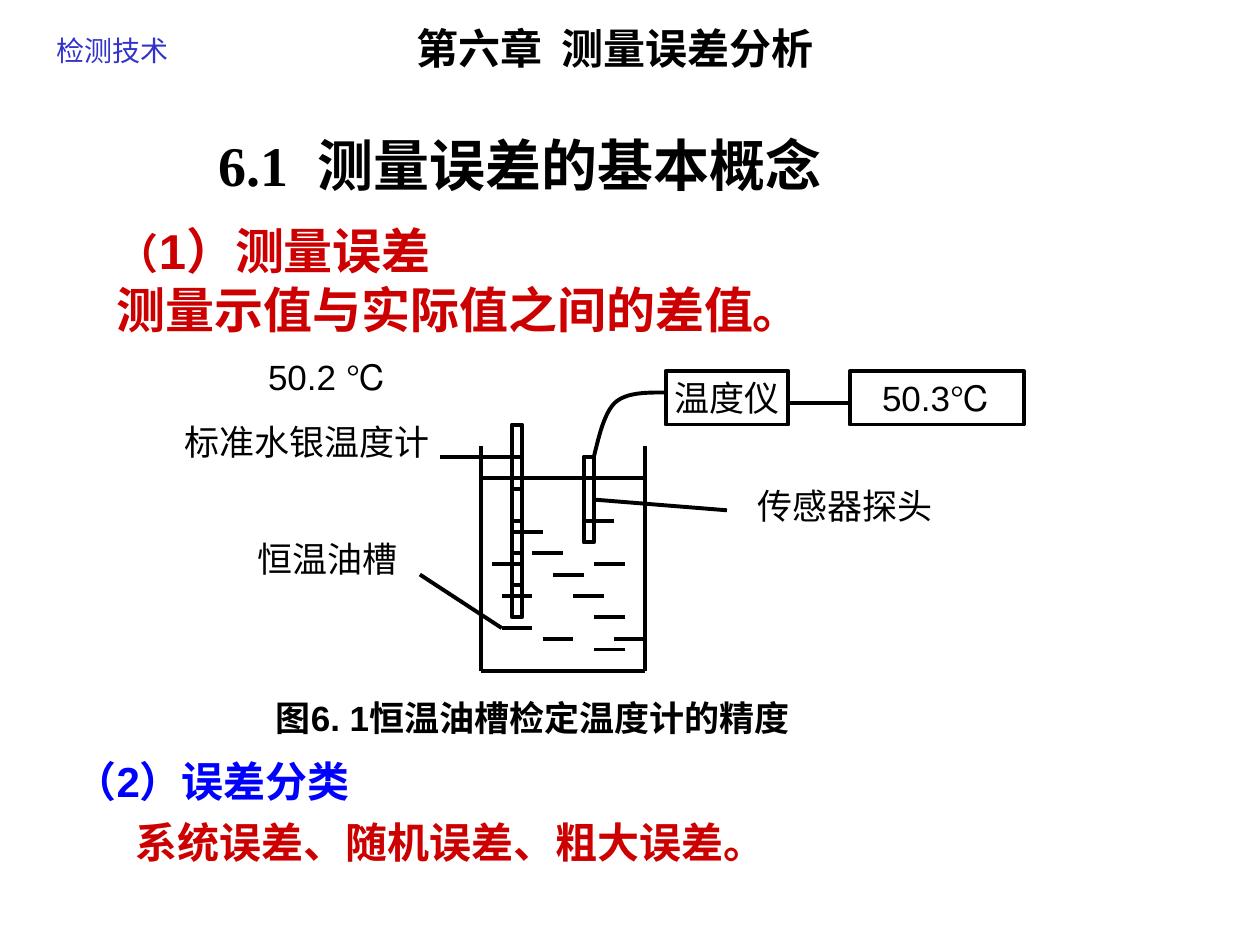
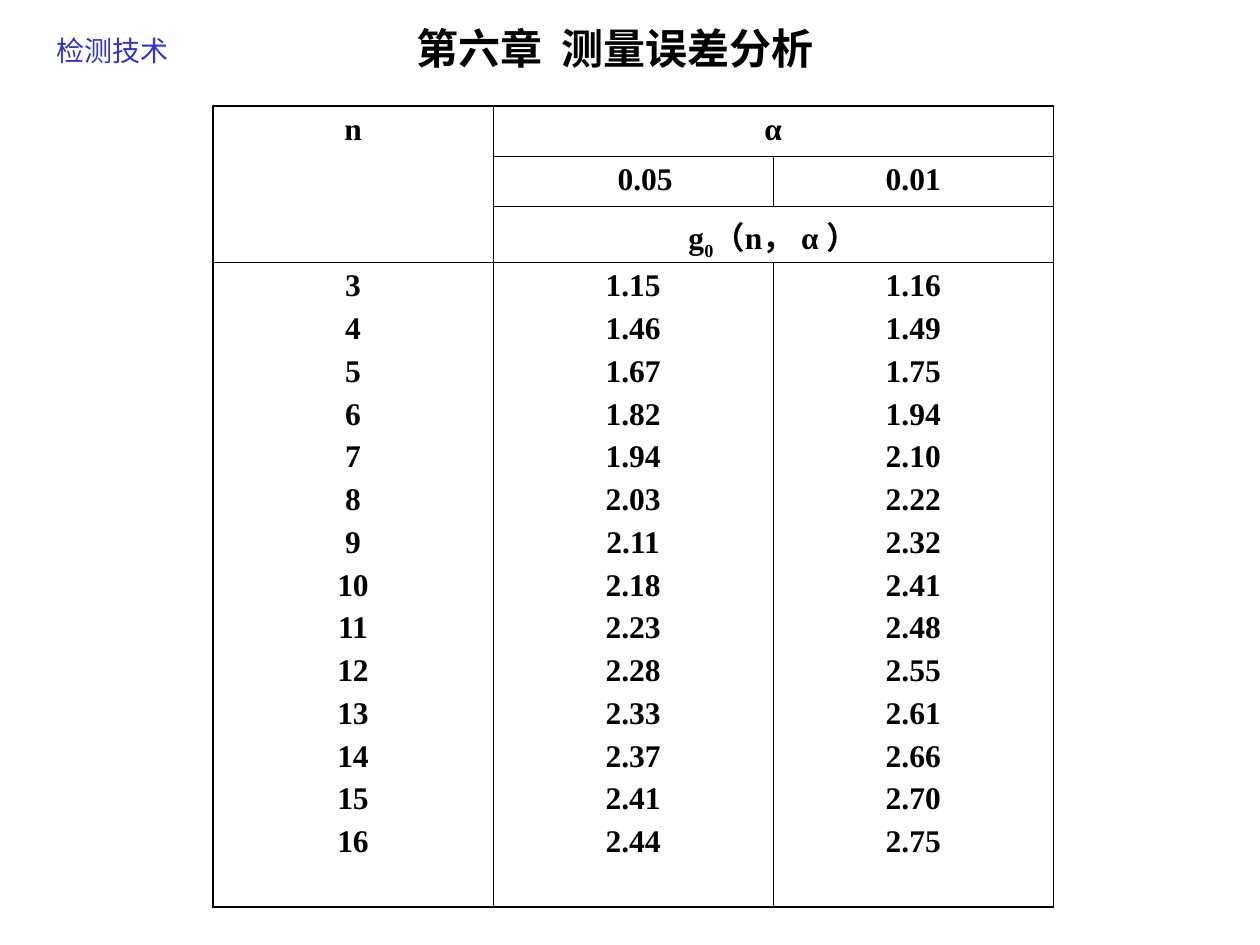
import pptx
import pptx.dml.color
import pptx.enum.shapes
import pptx.enum.text
import pptx.oxml
import pptx.oxml.ns
import pptx.util

INK, RED, BLUE, NAVY = "000000", "CC0000", "0000FF", "3333CC"
SANS, SERIF, HAN = "Arial", "Times New Roman", "Noto Sans CJK JP"
LEFT, MID = pptx.enum.text.PP_ALIGN.LEFT, pptx.enum.text.PP_ALIGN.CENTER
TOP, CORE = pptx.enum.text.MSO_ANCHOR.TOP, pptx.enum.text.MSO_ANCHOR.MIDDLE
RECT = pptx.enum.shapes.MSO_SHAPE.RECTANGLE
STRAIGHT = pptx.enum.shapes.MSO_CONNECTOR.STRAIGHT
PLAIN = "{2D5ABB26-0587-4C30-8999-92F81FD0307C}"
BOLD = 2.25
OUTER, INNER = 1.08, 0.45

# Grids: left, top, column width, row height, in inches.
PAGE = (0, 0, 0.1, 0.1)
RIG = (3.82, 3.37, 1.3 / 16, 1.53 / 18)

DASHES = [(3, 10), (5, 12), (7, 14), (9, 16), (11, 18), (6, 20), (2, 16),
          (10, 9), (11, 13), (11, 21), (2, 19), (1, 13), (13, 20)]
LABELS = [("恒温油槽", -27, 10, 24), ("标准水银温度计", -33, -1, 32),
          ("传感器探头", 21, 5, 29), ("50.2 ℃", -31, -7, 32)]
LIMITS = [
    (3, "1.15", "1.16"), (4, "1.46", "1.49"), (5, "1.67", "1.75"),
    (6, "1.82", "1.94"), (7, "1.94", "2.10"), (8, "2.03", "2.22"),
    (9, "2.11", "2.32"), (10, "2.18", "2.41"), (11, "2.23", "2.48"),
    (12, "2.28", "2.55"), (13, "2.33", "2.61"), (14, "2.37", "2.66"),
    (15, "2.41", "2.70"), (16, "2.44", "2.75")]


def tint(code):
    return pptx.dml.color.RGBColor.from_string(code)


def inch(size):
    return pptx.util.Inches(size)


def write(frame, *paras, size=20, color=INK, bold=False, font=SANS,
          align=LEFT, gap=0):
    """Fill a frame; a paragraph is a string or a list of (text, format) runs."""
    for i, para in enumerate(paras):
        p = frame.add_paragraph() if i else frame.paragraphs[0]
        p.alignment = align
        if i and gap:
            p.space_before = pptx.util.Pt(gap)
        runs = [(para, {})] if isinstance(para, str) else para
        for text, extra in runs:
            run = p.add_run()
            run.text = text
            face = run.font
            face.size = pptx.util.Pt(extra.get("size", size))
            face.bold, face.name = bold, font
            face.color.rgb = tint(color)
            props = run._r.get_or_add_rPr()
            if "base" in extra:
                props.set("baseline", str(extra["base"] * 1000))
            east = props.makeelement(pptx.oxml.ns.qn("a:ea"), {"typeface": HAN})
            props.append(east)


def curve(a, b, c, d, steps=12):
    """Points along a cubic Bezier, without its start."""
    for i in range(1, steps + 1):
        t = i / steps
        u = 1 - t
        yield tuple(u**3 * p + 3 * u * u * t * q + 3 * u * t * t * r + t**3 * s
                    for p, q, r, s in zip(a, b, c, d))


class Deck:
    def __init__(self):
        self.prs = pptx.Presentation()
        self.prs.slide_width, self.prs.slide_height = inch(10), inch(7.5)
        self.grid = PAGE

    def page(self):
        self.grid = PAGE
        self.slide = self.prs.slides.add_slide(self.prs.slide_layouts[6])
        self.shapes = self.slide.shapes
        self.text("检测技术", 3.5, 1.9, 23.6, 4.2, anchor=CORE,
                  size=16, color=NAVY, font=HAN)
        self.text("第六章  测量误差分析", 32.1, 1.3, 33.5, 5, wrap=False,
                  size=24, bold=True)

    def at(self, col, row):
        x, y, wide, high = self.grid
        return inch(x + col * wide), inch(y + row * high)

    def box(self, col, row, cols, rows):
        wide, high = self.grid[2:]
        return *self.at(col, row), inch(cols * wide), inch(rows * high)

    def text(self, paras, *place, anchor=TOP, wrap=True, **style):
        frame = self.shapes.add_textbox(*self.box(*place)).text_frame
        frame.word_wrap, frame.vertical_anchor = wrap, anchor
        write(frame, *([paras] if isinstance(paras, str) else paras), **style)

    def trim(self, shape):
        """Give a closed or free shape the common outline and no fill."""
        shape.shadow.inherit = False
        shape.fill.background()
        shape.line.color.rgb = tint(INK)
        shape.line.width = pptx.util.Pt(BOLD)
        return shape

    def rect(self, *place, text=None):
        shape = self.trim(self.shapes.add_shape(RECT, *self.box(*place)))
        if text:
            frame = shape.text_frame
            frame.word_wrap, frame.vertical_anchor = False, CORE
            write(frame, text, align=MID)
        return shape

    def line(self, a, b, start=None):
        """Draw from a to b, joined at a to the right side of start if given."""
        link = self.shapes.add_connector(STRAIGHT, *self.at(*a), *self.at(*b))
        link.line.color.rgb = tint(INK)
        link.line.width = pptx.util.Pt(BOLD)
        props = link._element.spPr
        props.append(props.makeelement(pptx.oxml.ns.qn("a:effectLst"), {}))
        if start is not None:
            link.begin_connect(start, 3)

    def wire(self, first, *rest):
        pen = self.shapes.build_freeform(*self.at(*first))
        pen.add_line_segments([self.at(*p) for p in rest], close=False)
        self.trim(pen.convert_to_shape())

    def table(self, place, heights, cols):
        frame = self.shapes.add_table(len(heights), cols, *self.box(*place))
        table = frame.table
        table.first_row = table.horz_banding = False
        frame._element.xpath(".//a:tableStyleId")[0].text = PLAIN
        for row, high in zip(table.rows, heights):
            row.height = inch(high)
        return table


def edge(cell, side, width):
    line = pptx.oxml.parse_xml(
        f'<a:ln{side} {pptx.oxml.ns.nsdecls("a")} w="{int(width * 12700)}">'
        f'<a:solidFill><a:srgbClr val="{INK}"/></a:solidFill></a:ln{side}>')
    props = cell._tc.get_or_add_tcPr()
    props.insert(len(props.xpath("./a:lnL|./a:lnR|./a:lnT|./a:lnB")), line)


def rule(table):
    """Draw heavy outer and light inner lines, none inside merged cells."""
    rows, cols = len(table.rows), len(table.columns)
    for r in range(rows):
        for c in range(cols):
            cell = table.cell(r, c)
            cell.fill.background()
            tall, wide = ((cell.span_height, cell.span_width)
                          if cell.is_merge_origin else (1, 1))
            rims = {"L": c == 0, "R": c + wide == cols,
                    "T": r == 0, "B": r + tall == rows}
            for side, rim in rims.items():
                if rim or not cell.is_spanned:
                    edge(cell, side, OUTER if rim else INNER)


def draw_rig(deck):
    deck.grid = RIG
    tank = [((0, 2), (0, 23)), ((16, 2), (16, 23)),
            ((0, 23), (16, 23)), ((0, 5), (16, 5))]
    waves = [((c, r), (c + 3, r)) for c, r in DASHES]
    marks = [((3, r), (4, r)) for r in range(3, 16, 3)]
    leads = [((30, -2), (36, -2)), ((-4, 3), (3, 3)), ((-6, 14), (2, 19))]
    for a, b in tank + waves + marks + leads:
        deck.line(a, b)
    deck.rect(3, 0, 1, 18)
    probe = deck.rect(10, 3, 1, 8)
    deck.line((11, 7), (24, 8), start=probe)
    tip, bend, meter = (11, 3), (13, -2), (18, -3)
    deck.wire(tip, *curve(tip, (11.5, 1), (12, -1), bend),
              *curve(bend, (14.1, -3), (16, -3), meter))
    deck.rect(18, -5, 12, 5, text="温度仪")
    deck.rect(36, -5, 17, 5, text="50.3℃")
    for text, col, row, cols in LABELS:
        deck.text(text, col, row, cols, 5.2, align=MID)
    deck.grid = PAGE


def concepts(deck):
    deck.page()
    deck.text([[("（", {"size": 24}), ("1）测量误差", {})],
               "测量示值与实际值之间的差值。"],
              8.3, 17, 87.4, 10.4, size=28, color=RED, bold=True)
    deck.text("6.1  测量误差的基本概念", 5.1, 9.9, 72.4, 11.7,
              size=32, bold=True, font=SERIF, align=MID)
    deck.text("图6. 1恒温油槽检定温度计的精度", 20.9, 54.8, 45.7, 4.4, bold=True)
    draw_rig(deck)
    deck.text("（2）误差分类", 2.7, 59.5, 28.3, 5,
              size=24, color=BLUE, bold=True, align=MID)
    deck.text("系统误差、随机误差、粗大误差。", 9.8, 64.3, 85, 5,
              size=24, color=RED, bold=True)


def limits(deck):
    deck.page()
    table = deck.table((16.9, 8.4, 66.7, 63.5), (0.4, 0.4, 0.44, 5.11), 3)
    for a, b in [((0, 0), (2, 0)), ((0, 1), (0, 2)), ((2, 1), (2, 2))]:
        table.cell(*a).merge(table.cell(*b))
    cells = {(0, 0): ["n"], (0, 1): ["α"], (1, 1): ["0.05"], (1, 2): ["0.01"],
             (2, 1): [[("g", {}), ("0", {"base": -25}), ("（n， α ）", {})]]}
    for c, column in enumerate(zip(*LIMITS)):
        cells[3, c] = [str(value) for value in column]
    for spot, paras in cells.items():
        write(table.cell(*spot).text_frame, *paras, size=18, bold=True,
              font=SERIF, align=MID, gap=4.5)
    table.cell(1, 1).margin_left = inch(0.29)
    rule(table)


def main():
    deck = Deck()
    concepts(deck)
    limits(deck)
    deck.prs.save("out.pptx")


if __name__ == "__main__":
    main()
